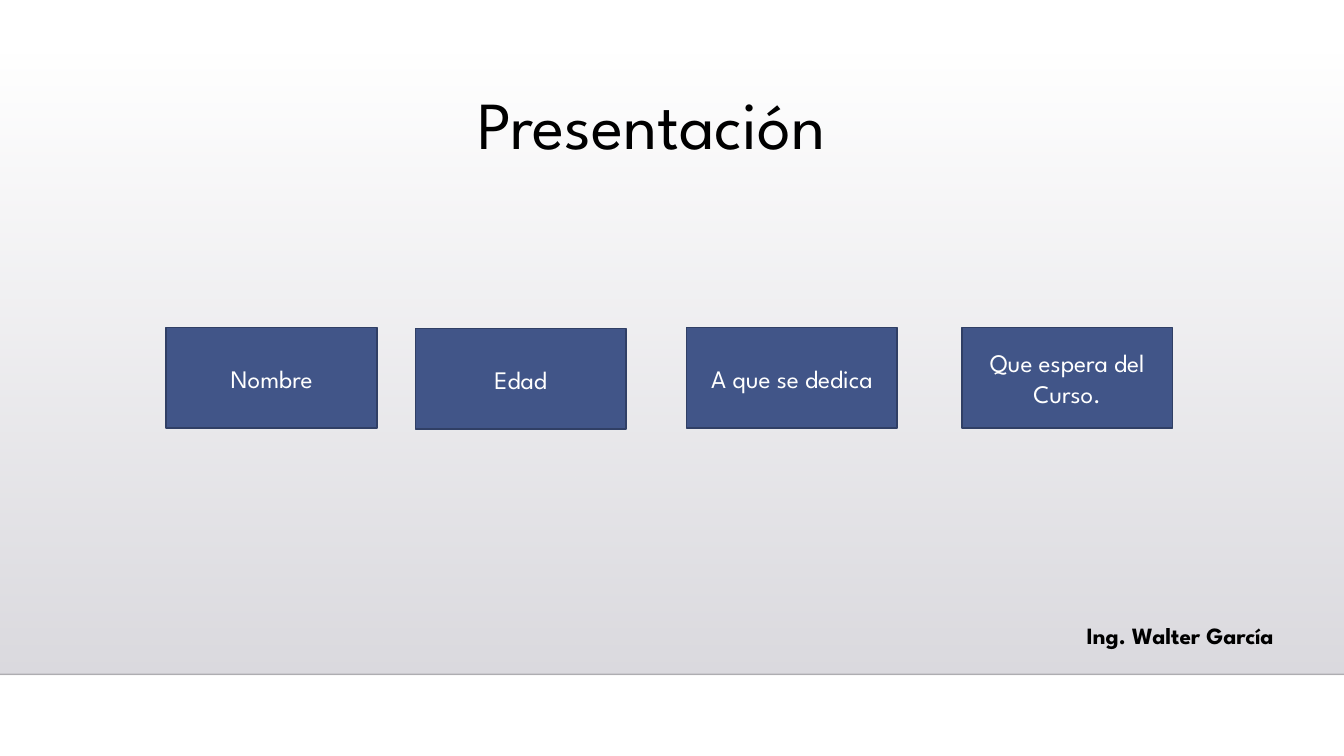
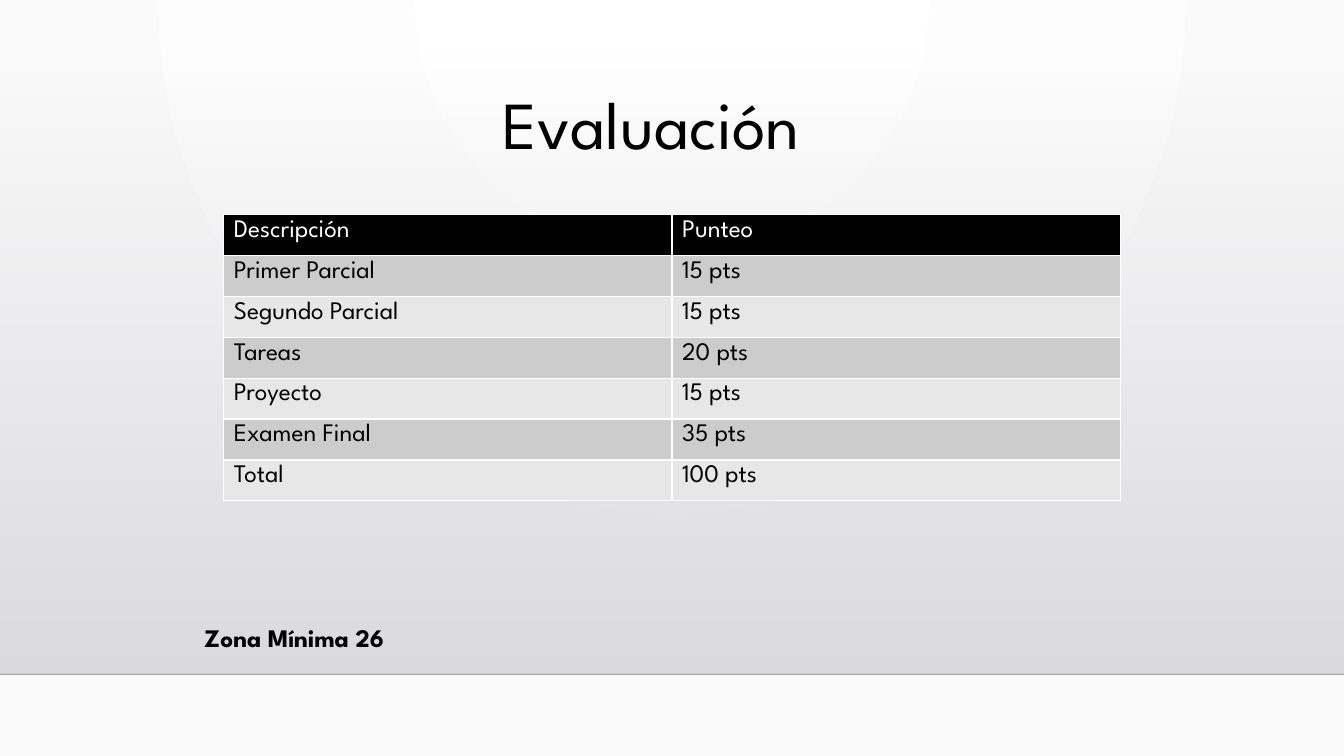
from lxml import etree
from pptx import Presentation
from pptx.dml.color import RGBColor
from pptx.enum import shapes, text
from pptx.oxml import parse_xml
from pptx.oxml.ns import nsdecls, qn
from pptx.util import Inches, Pt

FONT = "League Spartan"
BLACK = RGBColor(0x00, 0x00, 0x00)
WHITE = RGBColor(0xFF, 0xFF, 0xFF)
NEAR_WHITE = RGBColor(0xFA, 0xFA, 0xFA)
BAND_GRAY = RGBColor(0xDB, 0xDA, 0xDF)
BLUE = RGBColor(0x41, 0x55, 0x88)
DARK_BLUE = RGBColor(0x30, 0x3F, 0x65)
ROW_COLORS = (RGBColor(0xCC, 0xCC, 0xCC), RGBColor(0xE7, 0xE7, 0xE7))

# Content
TOPICS = [  # text, left, top
    ("Nombre", 1.65, 3.25),
    ("Edad", 4.12, 3.26),
    ("A que se dedica", 6.81, 3.25),
    ("Que espera del Curso.", 9.54, 3.25),
]
GRADES = [
    ("Descripción", "Punteo"),
    ("Primer Parcial", "15 pts"),
    ("Segundo Parcial", "15 pts"),
    ("Tareas", "20 pts"),
    ("Proyecto", "15 pts"),
    ("Examen Final", "35 pts"),
    ("Total", "100 pts"),
]
SLIDE_WIDTH, SLIDE_HEIGHT = 13.33, 7.5
BAND_TOP, BAND_BOTTOM = 0.51, 6.69
TABLE_WIDTH, ROW_HEIGHT = 8.89, 2.84 / 7


def set_gradient(element, stops, direction):
    """Replace the solid fill in element; stops are (position, colour, alpha) in percent."""
    stop_xml = "".join(
        f'<a:gs pos="{position * 1000}"><a:srgbClr val="{color}">'
        f'<a:alpha val="{alpha * 1000}"/></a:srgbClr></a:gs>'
        for position, color, alpha in stops)
    gradient = parse_xml(f'<a:gradFill {nsdecls("a")} rotWithShape="1">'
                         f'<a:gsLst>{stop_xml}</a:gsLst>{direction}</a:gradFill>')
    solid = element.find(qn("a:solidFill"))
    element.replace(solid, gradient)


def add_run(paragraph, words, size, color, bold=False):
    run = paragraph.add_run()
    run.text = words
    run.font.name = FONT
    run.font.size = Pt(size)
    run.font.bold = bold
    run.font.color.rgb = color


def add_text(slide, words, box, size, bold=False):
    shape = slide.shapes.add_textbox(*map(Inches, box))
    shape.text_frame.word_wrap = True
    paragraph = shape.text_frame.paragraphs[0]
    add_run(paragraph, words, size, BLACK, bold)
    return shape.text_frame, paragraph


def add_rectangle(slide, box, color):
    shape = slide.shapes.add_shape(shapes.MSO_SHAPE.RECTANGLE, *map(Inches, box))
    shape.shadow.inherit = False
    shape.fill.solid()
    shape.fill.fore_color.rgb = color
    return shape


def add_base_slide(presentation, title):
    slide = presentation.slides.add_slide(presentation.slide_layouts[6])
    slide.background.fill.solid()
    slide.background.fill.fore_color.rgb = WHITE

    # Fading band and its lower edge
    band = add_rectangle(slide, (0, BAND_TOP, SLIDE_WIDTH, BAND_BOTTOM - BAND_TOP), BAND_GRAY)
    band.line.fill.background()
    set_gradient(band.element.spPr, [(0, BAND_GRAY, 0), (100, BAND_GRAY, 100)],
                 '<a:lin ang="5400000" scaled="0"/>')
    edge = slide.shapes.add_connector(
        shapes.MSO_CONNECTOR.STRAIGHT, 0, Inches(BAND_BOTTOM),
        Inches(SLIDE_WIDTH), Inches(BAND_BOTTOM))
    edge.line.width = Pt(1)
    edge.line.color.rgb = BLACK
    edge_color = edge.element.spPr.find(".//" + qn("a:srgbClr"))
    etree.SubElement(edge_color, qn("a:alpha")).set("val", "20000")
    etree.SubElement(edge.element.spPr, qn("a:effectLst"))

    # Title
    frame, paragraph = add_text(slide, title, (2.43, 0.71, 8.06, 0.92), 48)
    frame.vertical_anchor = text.MSO_ANCHOR.BOTTOM
    frame.margin_bottom = 0
    paragraph.alignment = text.PP_ALIGN.CENTER
    paragraph.line_spacing = 0.9
    return slide


def set_borders(cell):
    properties = cell._tc.get_or_add_tcPr()
    for index, side in enumerate(("lnL", "lnR", "lnT", "lnB")):
        properties.insert(index, parse_xml(
            f'<a:{side} {nsdecls("a")} w="12700"><a:solidFill>'
            f'<a:srgbClr val="{WHITE}"/></a:solidFill></a:{side}>'))


def build_introduction(presentation):
    slide = add_base_slide(presentation, "Presentación")
    for words, left, top in TOPICS:
        shape = add_rectangle(slide, (left, top, 2.09, 1), BLUE)
        shape.line.color.rgb = DARK_BLUE
        shape.line.width = Pt(1.25)
        shape.text_frame.word_wrap = True
        shape.text_frame.vertical_anchor = text.MSO_ANCHOR.MIDDLE
        paragraph = shape.text_frame.paragraphs[0]
        paragraph.alignment = text.PP_ALIGN.CENTER
        add_run(paragraph, words, 18, WHITE)

    # Author
    frame, paragraph = add_text(slide, "Ing. Walter García", (10.68, 6.01, 2.37, 0.51), 16.6, True)
    frame.margin_top = frame.margin_bottom = Inches(0.1)
    paragraph.line_spacing = 1.2
    paragraph.space_before = Pt(10)


def build_evaluation(presentation):
    slide = add_base_slide(presentation, "Evaluación")
    set_gradient(slide.element.find(".//" + qn("p:bgPr")),
                 [(0, WHITE, 100), (100, NEAR_WHITE, 100)],
                 '<a:path path="circle"><a:fillToRect l="43000" r="43000" b="100000"/></a:path>')

    # Grades table
    frame = slide.shapes.add_table(
        len(GRADES), 2, Inches(2.22), Inches(2.13),
        Inches(TABLE_WIDTH), Inches(ROW_HEIGHT * len(GRADES)))
    table = frame.table
    table.first_row = table.horz_banding = False
    for row_index, row in enumerate(GRADES):
        is_header = row_index == 0
        for column_index, words in enumerate(row):
            cell = table.cell(row_index, column_index)
            cell.fill.solid()
            cell.fill.fore_color.rgb = BLACK if is_header else ROW_COLORS[(row_index - 1) % 2]
            set_borders(cell)
            add_run(cell.text_frame.paragraphs[0], words, 18, WHITE if is_header else BLACK)

    # Minimum score
    add_text(slide, "Zona Mínima 26", (1.93, 6.12, 2.37, 0.4), 18, True)


def main():
    presentation = Presentation()
    presentation.slide_width = Inches(SLIDE_WIDTH)
    presentation.slide_height = Inches(SLIDE_HEIGHT)
    build_introduction(presentation)
    build_evaluation(presentation)
    presentation.save("out.pptx")


if __name__ == "__main__":
    main()
